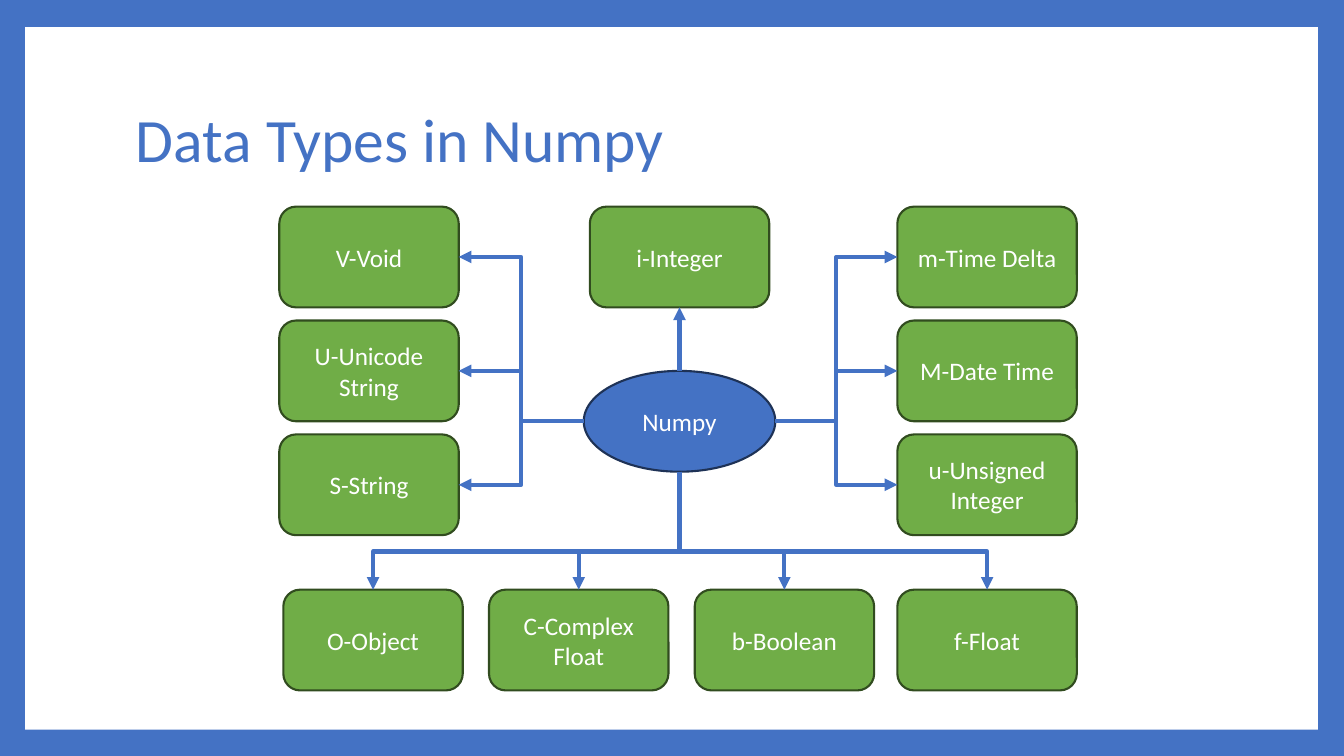
from lxml import etree
from pptx import Presentation
from pptx.dml.color import RGBColor
from pptx.enum.shapes import MSO_CONNECTOR as Connector, MSO_SHAPE as Shape
from pptx.enum.text import MSO_ANCHOR as Anchor, PP_ALIGN as Align
from pptx.oxml.ns import qn
from pptx.util import Inches, Pt

BLUE, GREEN, WHITE = "4472C4", "70AD47", "FFFFFF"
BOX_WIDTH, BOX_HEIGHT = 1.78, 1
COLUMN_TOPS = [2.05 + 1.13 * row for row in range(3)]
HUB_LEFT, HUB_TOP, HUB_WIDTH = 5.79, 3.68, 1.9
HUB_RIGHT, HUB_BOTTOM = HUB_LEFT + HUB_WIDTH, HUB_TOP + BOX_HEIGHT
HUB_X, HUB_Y = HUB_LEFT + HUB_WIDTH / 2, HUB_TOP + BOX_HEIGHT / 2

presentation = Presentation()
presentation.slide_width, presentation.slide_height = Inches(13.33), Inches(7.5)
slide = presentation.slides.add_slide(presentation.slide_layouts[6])
slide.background.fill.solid()
slide.background.fill.fore_color.rgb = RGBColor.from_string(BLUE)


def add_node(kind, text, left, top, width, fill, outline):
    shape = slide.shapes.add_shape(
        kind, Inches(left), Inches(top), Inches(width), Inches(BOX_HEIGHT))
    shape.shadow.inherit = False
    shape.fill.solid()
    shape.fill.fore_color.rgb = RGBColor.from_string(fill)
    shape.line.color.rgb = RGBColor.from_string(outline)
    shape.line.width = Pt(1.5)
    shape.text_frame.word_wrap = True
    shape.text_frame.vertical_anchor = Anchor.MIDDLE
    paragraph = shape.text_frame.paragraphs[0]
    paragraph.alignment = Align.CENTER
    run = paragraph.add_run()
    run.text = text
    run.font.name, run.font.size = "Calibri", Pt(18)
    run.font.color.rgb = RGBColor.from_string(WHITE)
    return shape


def add_arrow(kind, begin_x, begin_y, end_x, end_y):
    arrow = slide.shapes.add_connector(
        kind, Inches(begin_x), Inches(begin_y), Inches(end_x), Inches(end_y))
    arrow.line.color.rgb = RGBColor.from_string(BLUE)
    arrow.line.width = Pt(3)
    properties = arrow._element.spPr
    etree.SubElement(properties.find(qn("a:ln")), qn("a:tailEnd"), type="triangle")
    etree.SubElement(properties, qn("a:effectLst"))
    return arrow


# White panel and title
panel = slide.shapes.add_shape(
    Shape.RECTANGLE, Inches(0.25), Inches(0.27), Inches(12.82), Inches(6.97))
panel.shadow.inherit = False
panel.fill.solid()
panel.fill.fore_color.rgb = RGBColor.from_string(WHITE)
panel.line.fill.background()

title = slide.shapes.add_textbox(
    Inches(1.25), Inches(0.67), Inches(10.8), Inches(1.48))
title.text_frame.word_wrap = True
title.text_frame.vertical_anchor = Anchor.MIDDLE
title_paragraph = title.text_frame.paragraphs[0]
title_paragraph.line_spacing = 0.9
title_run = title_paragraph.add_run()
title_run.text = "Data Types in Numpy"
title_run.font.name, title_run.font.size = "Calibri", Pt(44)
title_run.font.color.rgb = RGBColor.from_string(BLUE)

# Hub and the type above it
hub = add_node(Shape.OVAL, "Numpy", HUB_LEFT, HUB_TOP, HUB_WIDTH, BLUE, "1E3256")
integer = add_node(Shape.ROUNDED_RECTANGLE, "i-Integer", HUB_X - BOX_WIDTH / 2,
                   COLUMN_TOPS[0], BOX_WIDTH, GREEN, "314C1F")
arrow = add_arrow(Connector.STRAIGHT, HUB_X, HUB_TOP, HUB_X, COLUMN_TOPS[0] + BOX_HEIGHT)
arrow.begin_connect(hub, 0)
arrow.end_connect(integer, 2)

# Columns at either side: box left, arrow start, arrow end, labels
columns = [
    (2.77, HUB_LEFT, 2.77 + BOX_WIDTH, ["V-Void", "U-Unicode String", "S-String"]),
    (8.9, HUB_RIGHT, 8.9, ["m-Time Delta", "M-Date Time", "u-Unsigned Integer"]),
]
for left, begin_x, end_x, labels in columns:
    for label, top in zip(labels, COLUMN_TOPS):
        add_node(Shape.ROUNDED_RECTANGLE, label, left, top, BOX_WIDTH, GREEN, "314C1F")
        add_arrow(Connector.ELBOW, begin_x, HUB_Y, end_x, top + BOX_HEIGHT / 2)

# Bottom row: each elbow is laid out sideways, then turned to leave downwards
ROW_TOP = 5.85
bottom_row = [("O-Object", 2.81), ("C-Complex Float", 4.85),
              ("b-Boolean", 6.89), ("f-Float", 8.9)]
for label, left in bottom_row:
    add_node(Shape.ROUNDED_RECTANGLE, label, left, ROW_TOP, BOX_WIDTH, GREEN, "314C1F")
    target_x = left + BOX_WIDTH / 2
    center_x, center_y = (HUB_X + target_x) / 2, (HUB_BOTTOM + ROW_TOP) / 2
    half_drop, half_span = (ROW_TOP - HUB_BOTTOM) / 2, abs(target_x - HUB_X) / 2
    goes_right = target_x > HUB_X
    side = -1 if goes_right else 1
    arrow = add_arrow(Connector.ELBOW,
                      center_x - side * half_drop, center_y - half_span,
                      center_x + side * half_drop, center_y + half_span)
    properties = arrow._element.spPr
    quarter_turns = 3 if goes_right else 1
    properties.find(qn("a:xfrm")).set("rot", str(quarter_turns * 90 * 60000))
    adjustments = properties.find(qn("a:prstGeom")).find(qn("a:avLst"))
    etree.SubElement(adjustments, qn("a:gd"), name="adj1", fmla="val 67600")

presentation.save("out.pptx")
